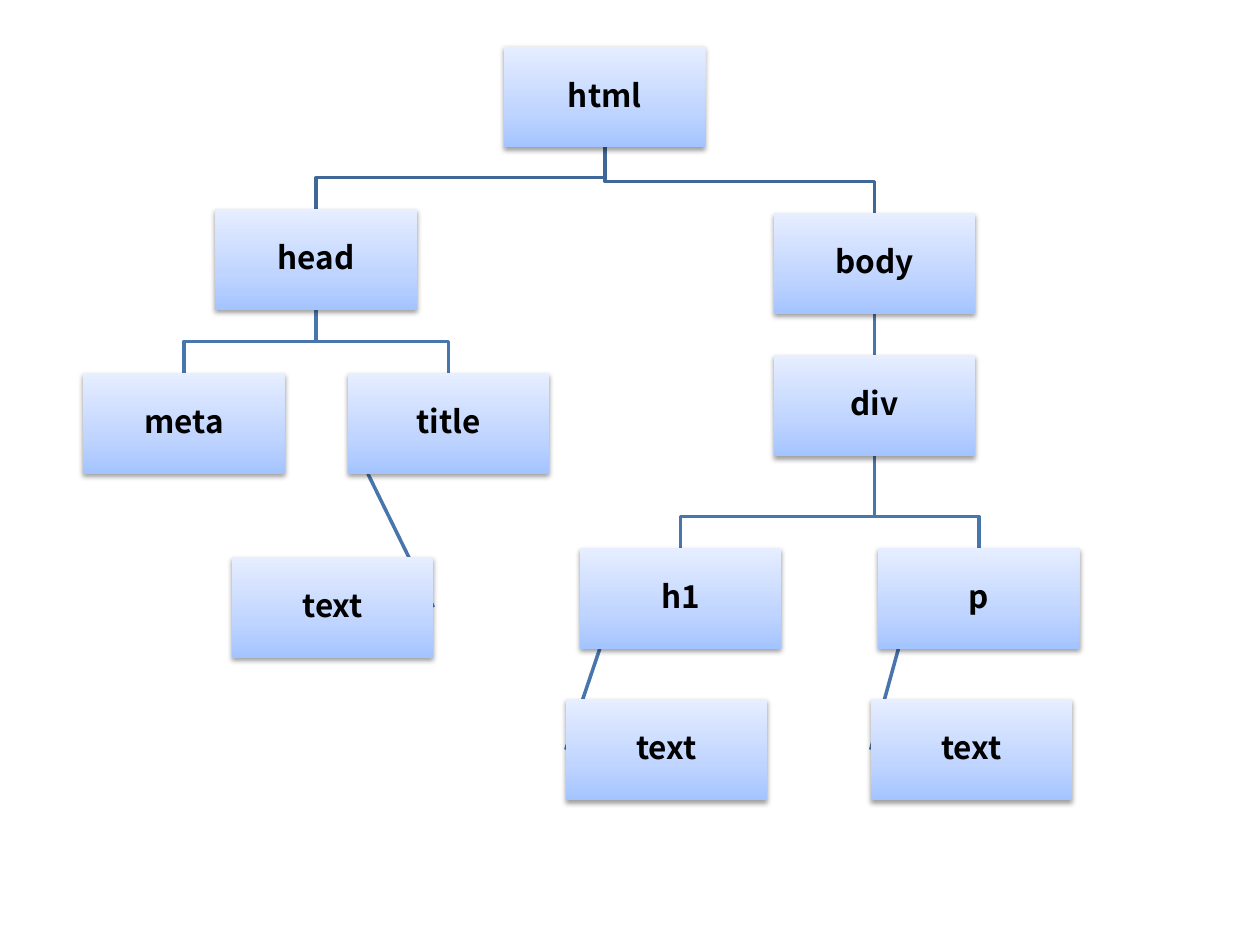
from dataclasses import dataclass

from lxml import etree
from pptx import Presentation
from pptx import util as u
from pptx.dml.color import RGBColor
from pptx.enum import shapes, text
from pptx.oxml import ns

PX = 9144
BOX_WIDTH, BOX_HEIGHT = 160, 80
BEND_GAP, HANG_INSET = 25, 16


@dataclass(frozen=True)
class Theme:
    """Colours, font and type sizes of the tree."""
    root_line: str = "3F6797"
    branch_line: str = "4875AC"
    ink: str = "000000"
    gradient: tuple = ((0, "A4C4FF"), (35, "BFD4FF"), (100, "E6EEFF"))
    font: str = "Noto Sans CJK KR"
    size: int = 18
    line_width: int = 2


def apply(target, values):
    """Set each named attribute on the target."""
    for name, value in values.items():
        setattr(target, name, value)


def add_xml(parent, tag, **attributes):
    """Append a DrawingML element to the parent."""
    return etree.SubElement(parent, ns.qn(tag), attributes)


class TreeSlide:
    """Draws tree boxes and edges on one slide in one style."""

    def __init__(self, slide, theme):
        self.shapes = slide.shapes
        self.theme = theme

    def stroke(self, shape, color):
        shape.line.color.rgb = RGBColor.from_string(color)
        shape.line.width = u.Pt(self.theme.line_width)

    def elbow(self, parent, child, color):
        start_x, start_y = parent[0] + BOX_WIDTH // 2, parent[1] + BOX_HEIGHT
        end_x, end_y = child[0] + BOX_WIDTH // 2, child[1]
        bend = end_y - BEND_GAP
        builder = self.shapes.build_freeform(start_x, start_y, scale=PX)
        builder.add_line_segments(
            [(start_x, bend), (end_x, bend), (end_x, end_y)], close=False)
        shape = builder.convert_to_shape()
        shape.fill.background()
        shape.shadow.inherit = False
        self.stroke(shape, color)

    def straight(self, start, end, color):
        line = self.shapes.add_connector(
            shapes.MSO_CONNECTOR.STRAIGHT, *(value * PX for value in start + end))
        self.stroke(line, color)
        add_xml(line._element.spPr, "a:effectLst")

    def drop(self, parent, child, color):
        x = parent[0] + BOX_WIDTH // 2
        self.straight((x, parent[1] + BOX_HEIGHT), (x, child[1]), color)

    def hang(self, parent, child, color):
        side = BOX_WIDTH if child[0] + BOX_WIDTH // 2 < parent[0] + HANG_INSET else 0
        self.straight((parent[0] + HANG_INSET, parent[1] + BOX_HEIGHT),
                      (child[0] + side, child[1] + BOX_HEIGHT // 2), color)

    def box(self, label, left, top):
        shape = self.shapes.add_shape(
            shapes.MSO_SHAPE.RECTANGLE,
            *(value * PX for value in (left, top, BOX_WIDTH, BOX_HEIGHT)))
        shape.line.fill.background()
        self.shade(shape)
        self.cast_shadow(shape)
        frame = shape.text_frame
        margins = ("margin_left", "margin_top", "margin_right", "margin_bottom")
        apply(frame, dict.fromkeys(margins, PX))
        apply(frame, {"word_wrap": True, "vertical_anchor": text.MSO_ANCHOR.MIDDLE})
        paragraph = frame.paragraphs[0]
        apply(paragraph, {"alignment": text.PP_ALIGN.CENTER, "line_spacing": 0.9})
        run = paragraph.add_run()
        run.text = label
        apply(run.font, {"name": self.theme.font, "size": u.Pt(self.theme.size), "bold": True})
        run.font.color.rgb = RGBColor.from_string(self.theme.ink)

    def shade(self, shape):
        shape.fill.gradient()
        shape.fill.gradient_angle = 90
        stops = shape._element.spPr.find(".//" + ns.qn("a:gsLst"))
        for stop in list(stops):
            stops.remove(stop)
        for percent, color in self.theme.gradient:
            stop = add_xml(stops, "a:gs", pos=str(percent * 1000))
            add_xml(stop, "a:srgbClr", val=color)

    def cast_shadow(self, shape):
        shape.shadow.inherit = False
        effects = shape._element.spPr.find(ns.qn("a:effectLst"))
        shadow = add_xml(effects, "a:outerShdw", blurRad=str(u.Pt(3.1)),
                         dist=str(u.Pt(1.6)), dir="5400000", rotWithShape="0")
        color = add_xml(shadow, "a:srgbClr", val=self.theme.ink)
        add_xml(color, "a:alpha", val="38000")


NODES = {
    "html": ("html", 400, 37),
    "head": ("head", 171, 166),
    "meta": ("meta", 66, 296),
    "title": ("title", 276, 296),
    "title text": ("text", 184, 442),
    "body": ("body", 614, 169),
    "div": ("div", 614, 282),
    "h1": ("h1", 460, 435),
    "h1 text": ("text", 449, 555),
    "p": ("p", 697, 435),
    "p text": ("text", 691, 555),
}
EDGES = [
    ("hang", "p", "p text"), ("elbow", "div", "p"),
    ("hang", "h1", "h1 text"), ("elbow", "div", "h1"),
    ("drop", "body", "div"), ("elbow", "html", "body"),
    ("hang", "title", "title text"), ("elbow", "head", "title"),
    ("elbow", "head", "meta"), ("elbow", "html", "head"),
]


def main():
    presentation = Presentation()
    apply(presentation, {"slide_width": 1000 * PX, "slide_height": 750 * PX})
    slide = presentation.slides.add_slide(presentation.slide_layouts[6])
    theme = Theme()
    tree = TreeSlide(slide, theme)
    for kind, parent, child in EDGES:
        color = theme.root_line if parent == "html" else theme.branch_line
        getattr(tree, kind)(NODES[parent][1:], NODES[child][1:], color)
    for node in NODES.values():
        tree.box(*node)
    presentation.save("out.pptx")


if __name__ == "__main__":
    main()
